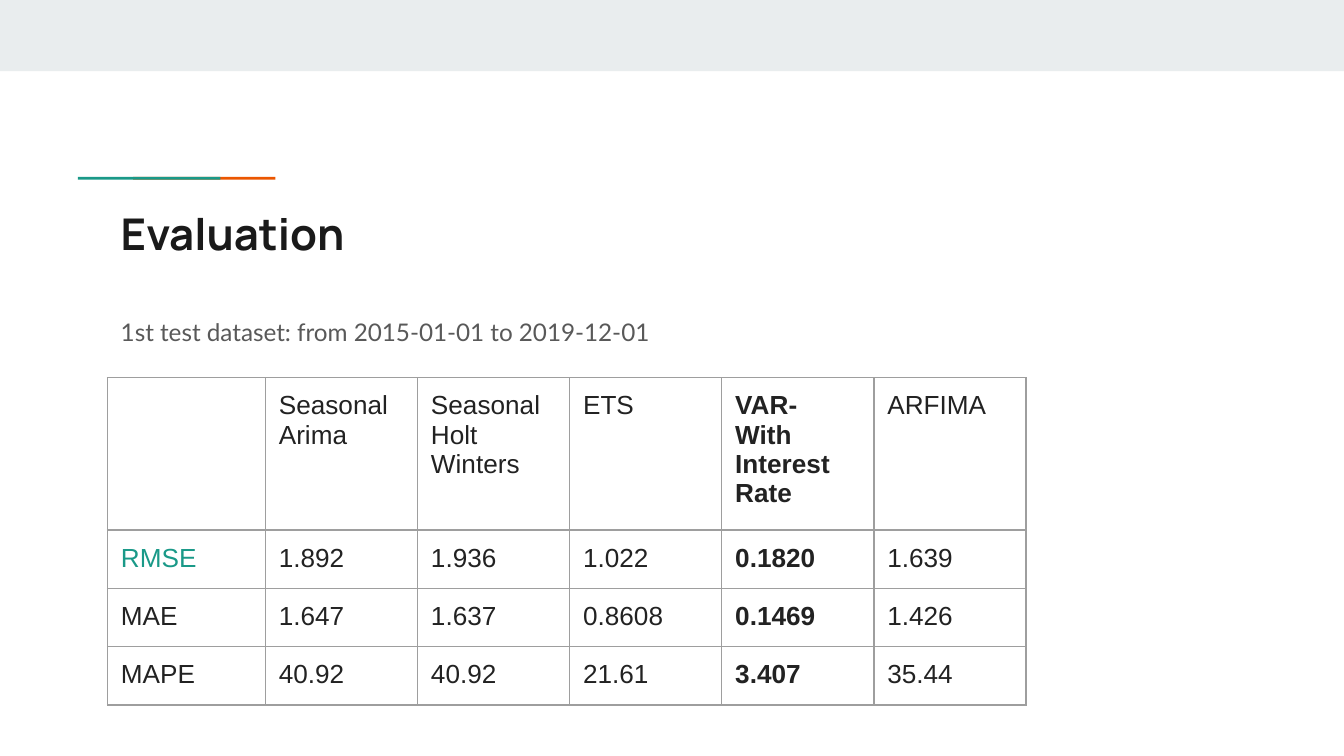
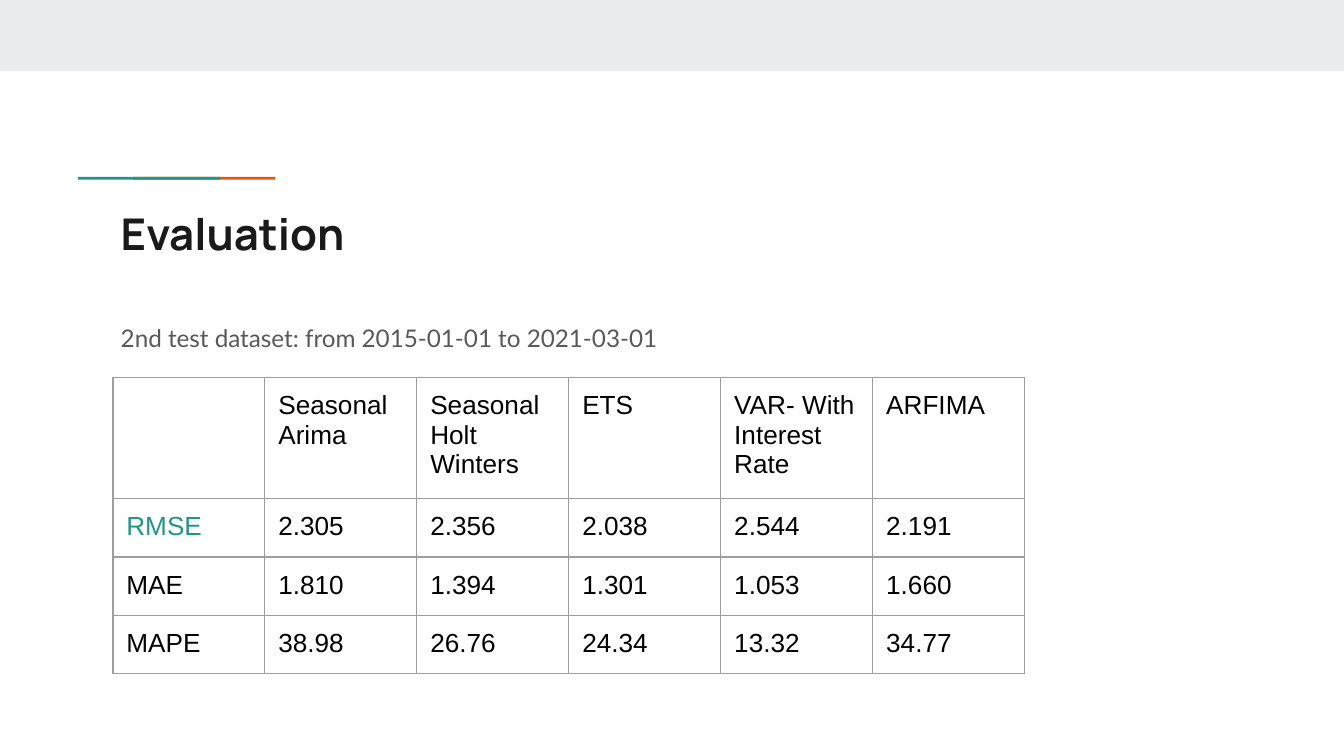
from collections import namedtuple

from lxml.etree import SubElement
from pptx import Presentation
from pptx.dml.color import RGBColor
from pptx.enum.shapes import MSO_SHAPE as Preset
from pptx.enum.text import MSO_ANCHOR as Anchor
from pptx.oxml.ns import qn
from pptx.util import Inches, Pt

Box = namedtuple("Box", "left top width height")
Style = namedtuple("Style", "size font color bold")
Evaluation = namedtuple("Evaluation", "caption caption_top table_left columns rows ink best values")

GRID_STEP = 0.1
BAND, TEAL, ORANGE, BORDER = "E9EDEE", "1A9988", "EB5600", "9E9E9E"
TITLE_STYLE = Style(23.4, "Manrope", "1A1A1A", True)
CAPTION_STYLE = Style(13, "Lato", "595959", False)
PAGE = Box(0, 0, 100, 56.25)
CONTENT = Box(8, 14.4, 84.1, 41.8)
RULE = Box(5.8, 13.17, 14.7, 0.2)
RULE_SHIFT = 4.1
TABLE_TOP = 28.1
TABLE_FRAME = 32.8
INSET = 1

HEADINGS = ["", "Seasonal Arima", "Seasonal Holt Winters", "ETS", "VAR- With Interest Rate", "ARFIMA"]
EVALUATIONS = [
    Evaluation(
        "1st test dataset: from 2015-01-01 to 2019-12-01", 22.3, 8,
        [11.75] + [11.32] * 5, [6.7, 4.3, 4.3, 2.2], "222222", 4,
        [
            ["RMSE", "1.892", "1.936", "1.022", "0.1820", "1.639"],
            ["MAE", "1.647", "1.637", "0.8608", "0.1469", "1.426"],
            ["MAPE", "40.92", "40.92", "21.61", "3.407", "35.44"],
        ],
    ),
    Evaluation(
        "2nd test dataset: from 2015-01-01 to 2021-03-01", 22.7, 8.4,
        [11.31] * 6, [4.16] * 4, "000000", None,
        [
            ["RMSE", "2.305", "2.356", "2.038", "2.544", "2.191"],
            ["MAE", "1.810", "1.394", "1.301", "1.053", "1.660"],
            ["MAPE", "38.98", "26.76", "24.34", "13.32", "34.77"],
        ],
    ),
]


def grid(steps):
    """Turn grid steps into a length."""
    return Inches(steps * GRID_STEP)


def rgb(hex_color):
    """Turn a hex string into a colour."""
    return RGBColor.from_string(hex_color)


def add_run(paragraph, text, style):
    """Append one styled run."""
    run = paragraph.add_run()
    run.text = text
    run.font.size = Pt(style.size)
    run.font.name = style.font
    run.font.bold = style.bold
    run.font.color.rgb = rgb(style.color)


def set_insets(holder):
    """Give a text frame or a cell equal margins."""
    holder.margin_left = holder.margin_right = grid(INSET)
    holder.margin_top = holder.margin_bottom = grid(INSET)


def add_bar(slide, box, color):
    """Draw a plain filled rectangle."""
    shape = slide.shapes.add_shape(Preset.RECTANGLE, *map(grid, box))
    shape.shadow.inherit = False
    shape.fill.solid()
    shape.fill.fore_color.rgb = rgb(color)
    shape.line.fill.background()


def add_text(slide, box, text, style):
    """Place wrapped text in a box and return its paragraph."""
    frame = slide.shapes.add_textbox(*map(grid, box)).text_frame
    frame.word_wrap = True
    frame.vertical_anchor = Anchor.TOP
    set_insets(frame)
    paragraph = frame.paragraphs[0]
    add_run(paragraph, text, style)
    return paragraph


def add_header(slide, page, content, rule):
    """Draw the top band, the two-tone rule and the title."""
    add_bar(slide, page._replace(height=5.3), BAND)
    bar = rule._replace(width=rule.width - RULE_SHIFT)
    add_bar(slide, bar._replace(left=rule.left + RULE_SHIFT), ORANGE)
    add_bar(slide, bar, TEAL)
    add_text(slide, content._replace(height=5.9), "Evaluation", TITLE_STYLE)


def add_caption(slide, box, text):
    """Write the line that names the dataset."""
    paragraph = add_text(slide, box, text, CAPTION_STYLE)
    paragraph.line_spacing = 1.15
    paragraph.space_after = Pt(12)


def set_borders(cell):
    """Draw thin lines on the four sides of a cell."""
    properties = cell._tc.get_or_add_tcPr()
    for index, side in enumerate(("a:lnL", "a:lnR", "a:lnT", "a:lnB")):
        line = properties.makeelement(qn(side), {"w": str(Pt(0.75))})
        fill = SubElement(line, qn("a:solidFill"))
        SubElement(fill, qn("a:srgbClr"), val=BORDER)
        properties.insert(index, line)


def add_scores(slide, box, evaluation):
    """Build the table of error scores by model."""
    contents = [HEADINGS] + evaluation.values
    shape = slide.shapes.add_table(len(contents), len(HEADINGS), *map(grid, box))
    table = shape.table
    table.first_row = table.horz_banding = False
    for column, width in zip(table.columns, evaluation.columns):
        column.width = grid(width)
    for row, height, texts in zip(table.rows, evaluation.rows, contents):
        row.height = grid(height)
        for index, (cell, text) in enumerate(zip(row.cells, texts)):
            set_insets(cell)
            cell.fill.background()
            set_borders(cell)
            paragraph = cell.text_frame.paragraphs[0]
            paragraph.line_spacing = 1.0
            paragraph.space_before = paragraph.space_after = Pt(0)
            if text:
                color = TEAL if text == "RMSE" else evaluation.ink
                style = Style(14, "Arial", color, index == evaluation.best)
                add_run(paragraph, text, style)
    shape.width, shape.height = grid(box.width), grid(box.height)


def add_evaluation_slide(presentation, evaluation):
    """Add one slide with a dataset and its scores."""
    slide = presentation.slides.add_slide(presentation.slide_layouts[6])
    add_header(slide, PAGE, CONTENT, RULE)
    add_caption(slide, CONTENT._replace(top=evaluation.caption_top, height=24.7), evaluation.caption)
    add_scores(slide, Box(evaluation.table_left, TABLE_TOP, TABLE_FRAME, TABLE_FRAME), evaluation)


def main():
    """Build and save the presentation."""
    presentation = Presentation()
    presentation.slide_width = grid(PAGE.width)
    presentation.slide_height = grid(PAGE.height)
    for evaluation in EVALUATIONS:
        add_evaluation_slide(presentation, evaluation)
    presentation.save("out.pptx")


if __name__ == "__main__":
    main()
